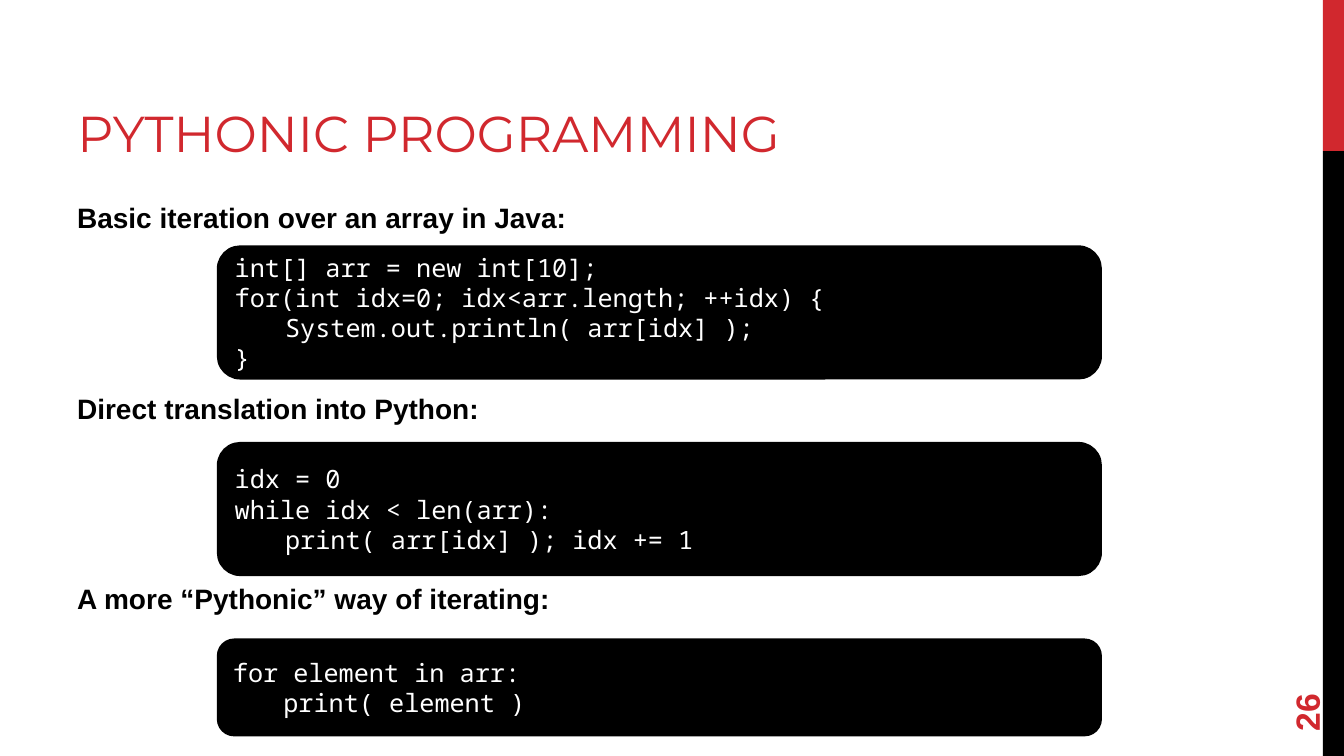
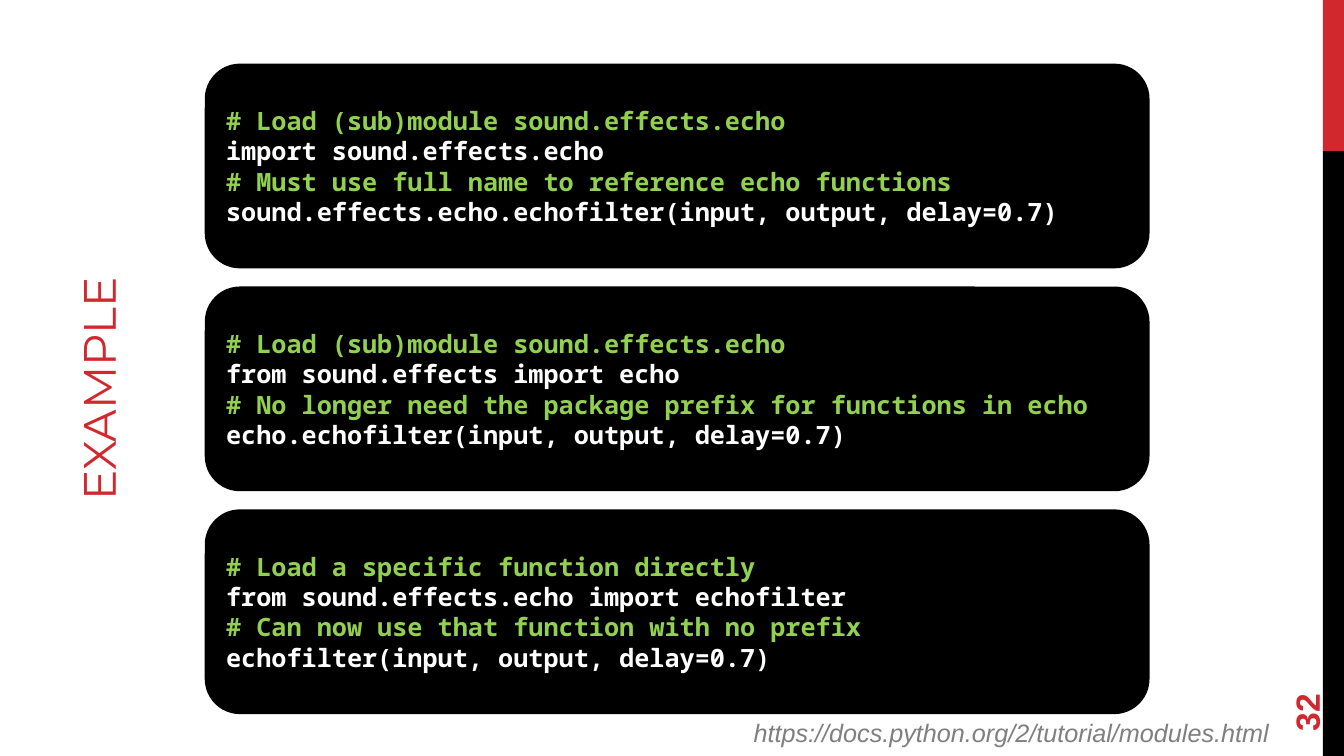
from dataclasses import dataclass

import pptx
import pptx.dml.color
import pptx.enum.shapes
import pptx.enum.text
import pptx.util

Pt = pptx.util.Pt
RGB = pptx.dml.color.RGBColor.from_string
ALIGN = pptx.enum.text.PP_ALIGN
ANCHOR = pptx.enum.text.MSO_ANCHOR
SHAPE = pptx.enum.shapes.MSO_SHAPE


@dataclass(frozen=True)
class Theme:
    accent: RGB = RGB("D1282E")
    black: RGB = RGB("000000")
    white: RGB = RGB("FFFFFF")
    comment: RGB = RGB("92D050")
    source: RGB = RGB("7F7F7F")
    title_font: str = "Montserrat"
    body_font: str = "Arial"
    code_font: str = "Noto Sans Mono"
    title_size: float = 36
    side_title_size: float = 32.4
    number_size: float = 24
    heading_size: float = 20
    code_size: float = 18
    source_size: float = 18
    code_line: float = 2.25


@dataclass(frozen=True)
class Box:
    left: float
    top: float
    width: float
    height: float

    def lengths(self):
        return [Pt(v) for v in (self.left, self.top, self.width, self.height)]


THEME = Theme()
PAGE = Box(0, 0, 960, 540)


def add_text(paragraph, text, font, size, color, bold=False, italic=False):
    run = paragraph.add_run()
    run.text = text
    run.font.name = font
    run.font.size = Pt(size)
    run.font.color.rgb = color
    run.font.bold = bold
    run.font.italic = italic


def add_block(slide, preset, box, fill):
    block = slide.shapes.add_shape(preset, *box.lengths())
    block.shadow.inherit = False
    block.fill.solid()
    block.fill.fore_color.rgb = fill
    block.line.fill.background()
    return block


def add_label(slide, box, text, size, color, align=ALIGN.LEFT,
              anchor=ANCHOR.TOP, bold=False, italic=False):
    label = slide.shapes.add_textbox(*box.lengths())
    frame = label.text_frame
    frame.word_wrap = True
    frame.vertical_anchor = anchor
    paragraph = frame.paragraphs[0]
    paragraph.alignment = align
    add_text(paragraph, text, THEME.body_font, size, color, bold, italic)
    return label


def add_bands(layout, slide, page):
    """Draw the right-hand bands and move them to the layout all slides share."""
    width, accent_height = 15.1, 108
    left = page.left + page.width - width
    bands = (
        (Box(left, page.top, width, accent_height), THEME.accent),
        (Box(left, page.top + accent_height, width, page.height - accent_height),
         THEME.black),
    )
    for box, color in bands:
        band = add_block(slide, SHAPE.RECTANGLE, box, color)
        layout.shapes.element.append(band.element)


def add_title(slide, box, text, size, align=ALIGN.LEFT, rotation=0):
    title = slide.shapes.title
    title.left, title.top, title.width, title.height = box.lengths()
    title.rotation = rotation
    frame = title.text_frame
    frame.auto_size = pptx.enum.text.MSO_AUTO_SIZE.NONE
    frame.word_wrap = True
    frame.vertical_anchor = ANCHOR.BOTTOM
    paragraph = frame.paragraphs[0]
    paragraph.alignment = align
    add_text(paragraph, text, THEME.title_font, size, THEME.accent)


def add_page_number(slide, page, number):
    box = Box(page.left + page.width - 78.7, page.top + page.height - 81.4,
              103.7, 38.2)
    label = add_label(slide, box, number, THEME.number_size, THEME.accent,
                      anchor=ANCHOR.MIDDLE, bold=True)
    label.rotation = 270


def add_code(slide, box, lines, bold=False):
    panel = add_block(slide, SHAPE.ROUNDED_RECTANGLE, box, THEME.black)
    panel.line.color.rgb = THEME.black
    panel.line.width = Pt(THEME.code_line)
    frame = panel.text_frame
    frame.word_wrap = True
    frame.vertical_anchor = ANCHOR.MIDDLE
    for index, line in enumerate(lines):
        paragraph = frame.add_paragraph() if index else frame.paragraphs[0]
        paragraph.alignment = ALIGN.LEFT
        color = THEME.comment if line.startswith("#") else THEME.white
        add_text(paragraph, line, THEME.code_font, THEME.code_size, color, bold)


def add_comparison(slide, box, sections):
    """Stack headings, each followed by an indented code panel."""
    heading_step, code_step = 135.8, 140.4
    code_indent, code_drop, code_width = 108, 36.4, 630
    for index, (heading, code_height, lines) in enumerate(sections):
        add_label(slide,
                  Box(box.left, box.top + index * heading_step, box.width, 30),
                  heading, THEME.heading_size, THEME.black, bold=True)
        add_code(slide,
                 Box(box.left + code_indent,
                     box.top + code_drop + index * code_step,
                     code_width, code_height),
                 lines)


def add_code_stack(slide, box, listings, gap):
    """Fill the box with code panels of equal height."""
    height = (box.height - gap * (len(listings) - 1)) / len(listings)
    for index, lines in enumerate(listings):
        top = box.top + index * (height + gap)
        add_code(slide, Box(box.left, top, box.width, height), lines, bold=True)


def fill_comparison_slide(slide, page):
    add_title(slide, Box(page.left + 48, page.top + 12, 608, 108),
              "PYTHONIC PROGRAMMING", THEME.title_size)
    add_page_number(slide, page, "26")
    add_comparison(slide, Box(page.left + 48, page.top + 140, 800, 400), (
        ("Basic iteration over an array in Java:", 93.6, (
            "int[] arr = new int[10];",
            "for(int idx=0; idx<arr.length; ++idx) {",
            "\tSystem.out.println( arr[idx] );",
            "}",
        )),
        ("Direct translation into Python:", 93.6, (
            "idx = 0",
            "while idx < len(arr):",
            "\tprint( arr[idx] ); idx += 1",
        )),
        ("A more “Pythonic” way of iterating:", 67.7, (
            "for element in arr:",
            "\tprint( element )",
        )),
    ))


def fill_example_slide(slide, page):
    add_title(slide, Box(page.left - 160, page.top + 252.7, 456, 49.7),
              "EXAMPLE", THEME.side_title_size, ALIGN.CENTER, rotation=270)
    add_page_number(slide, page, "32")
    add_code_stack(slide, Box(page.left + 147.4, page.top + 46.6, 672.6, 462.4), (
        (
            "# Load (sub)module sound.effects.echo",
            "import sound.effects.echo",
            "# Must use full name to reference echo functions",
            "sound.effects.echo.echofilter(input, output, delay=0.7)",
        ),
        (
            "# Load (sub)module sound.effects.echo",
            "from sound.effects import echo",
            "# No longer need the package prefix for functions in echo",
            "echo.echofilter(input, output, delay=0.7)",
        ),
        (
            "# Load a specific function directly",
            "from sound.effects.echo import echofilter",
            "# Can now use that function with no prefix",
            "echofilter(input, output, delay=0.7)",
        ),
    ), gap=15.2)
    add_label(slide, Box(page.left + 228, page.top + 509, 685.6, 28.8),
              "https://docs.python.org/2/tutorial/modules.html",
              THEME.source_size, THEME.source, ALIGN.RIGHT, italic=True)


def main():
    deck = pptx.Presentation()
    deck.slide_width, deck.slide_height = Pt(PAGE.width), Pt(PAGE.height)
    title_only = deck.slide_layouts.get_by_name("Title Only")
    comparison = deck.slides.add_slide(title_only)
    add_bands(title_only, comparison, PAGE)
    fill_comparison_slide(comparison, PAGE)
    fill_example_slide(deck.slides.add_slide(title_only), PAGE)
    deck.save("out.pptx")


if __name__ == "__main__":
    main()
